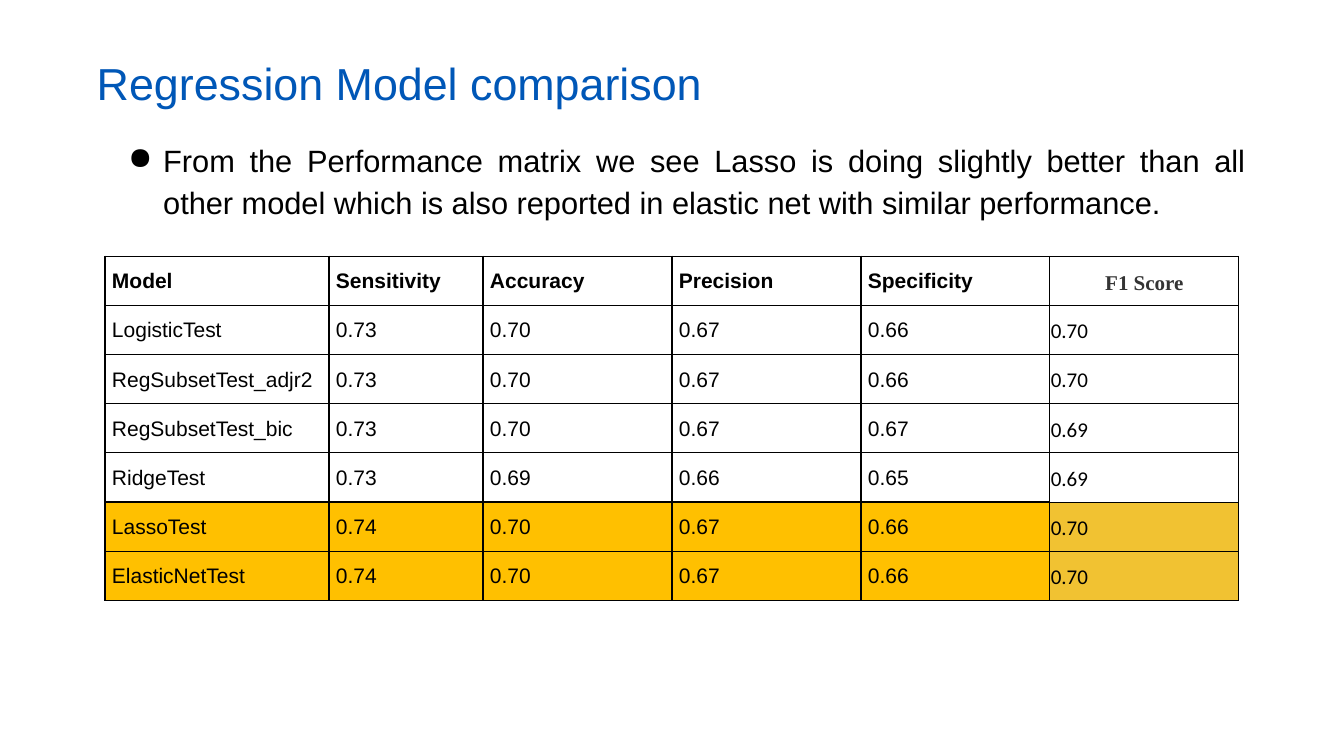
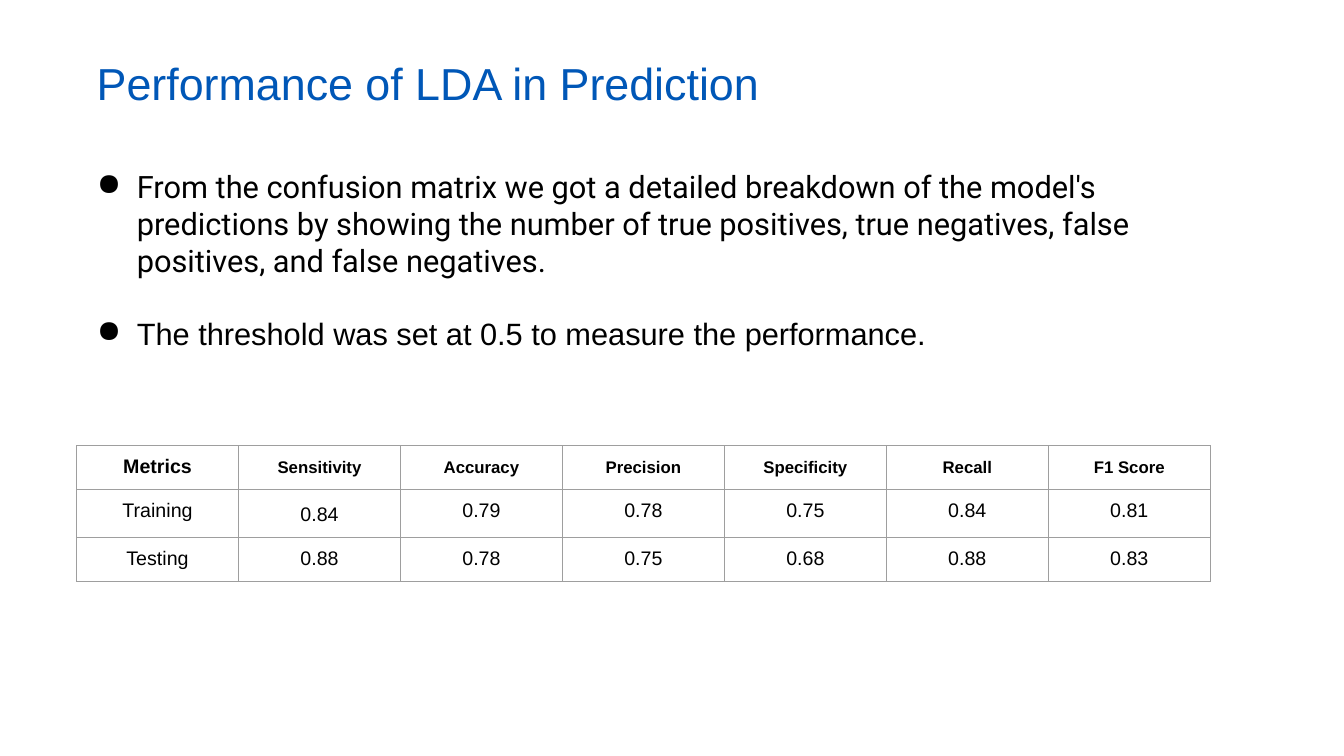
from dataclasses import dataclass, replace

from lxml.etree import SubElement
from pptx import Presentation
from pptx.dml.color import RGBColor as RGB
from pptx.enum.text import MSO_ANCHOR as Anchor, PP_ALIGN as Align
from pptx.oxml import parse_xml
from pptx.oxml.ns import nsdecls, qn
from pptx.util import Pt


@dataclass(frozen=True)
class Theme:
    blue: str = "0057B7"
    black: str = "000000"
    dark: str = "343434"
    grey: str = "9E9E9E"
    gold: str = "FFC000"
    sand: str = "F1C232"
    sans: str = "Arial"
    title: int = 32
    body: int = 22
    large: int = 15
    cell: int = 14
    small: int = 12


theme = Theme()


@dataclass(frozen=True)
class Look:
    """Style of one table cell; pads are left/right, top and bottom."""
    size: int = theme.cell
    font: str = theme.sans
    color: str = theme.black
    bold: bool = False
    align: Align = Align.CENTER
    anchor: Anchor = Anchor.TOP
    space: float = 1.0
    pads: tuple = (7.2, 7.2, 7.2)
    fill: str = ""
    line: str = theme.grey
    width: float = 0.75


class Deck:
    def __init__(self):
        self.prs = Presentation()
        self.prs.slide_width, self.prs.slide_height = Pt(960), Pt(540)
        self.slide = None

    def start(self, title):
        """Add a slide with its title."""
        self.slide = self.prs.slides.add_slide(self.prs.slide_layouts[6])
        para = self.box(62, 40.3, 835, 47.5, 3.6).paragraphs[0]
        self.label(para, title, theme.title, theme.sans, theme.blue)
        para.line_spacing = 0.9

    def box(self, x, y, w, h, pad):
        frame = self.slide.shapes.add_textbox(Pt(x), Pt(y), Pt(w), Pt(h)).text_frame
        frame.word_wrap = True
        frame.margin_left = frame.margin_right = Pt(7.2)
        frame.margin_top = frame.margin_bottom = Pt(pad)
        return frame

    def label(self, para, text, size, font, color, bold=False):
        """Put styled text into a paragraph."""
        para.text = text
        face = para.font
        face.size, face.name, face.bold = Pt(size), font, bold
        face.color.rgb = RGB.from_string(color)

    def bullets(self, x, y, w, h, items, hang, align=Align.LEFT, space=1.0, gap=0):
        """Fill a box with (text, font) bullet items."""
        frame = self.box(x, y, w, h, 7.2)
        for i, (text, font) in enumerate(items):
            para = frame.add_paragraph() if i else frame.paragraphs[0]
            para.alignment, para.line_spacing = align, space
            if i:
                para.space_before = Pt(gap)
            props = para._p.get_or_add_pPr()
            props.set("marL", str(Pt(36)))
            props.set("indent", str(-Pt(hang)))
            tint = SubElement(props, qn("a:buClr"))
            SubElement(tint, qn("a:srgbClr"), val=theme.black)
            SubElement(props, qn("a:buChar"), char="●")
            self.label(para, text, theme.body, font, theme.black)

    def table(self, x, y, cols, highs, rows, style):
        """Draw rows of text; style(row, col) gives the Look of a cell."""
        grid = self.slide.shapes.add_table(
            len(rows), len(cols), Pt(x), Pt(y), Pt(sum(cols)), Pt(sum(highs))).table
        grid.first_row = grid.horz_banding = False
        for col, wide in zip(grid.columns, cols):
            col.width = Pt(wide)
        for row, high in zip(grid.rows, highs):
            row.height = Pt(high)
        for r, row in enumerate(rows):
            for c, text in enumerate(row):
                look = style(r, c)
                after = style(r, min(c + 1, len(row) - 1))
                self.cell(grid.cell(r, c), text, look, min(look.width, after.width))

    def cell(self, cell, text, look, right):
        side, top, low = look.pads
        cell.margin_left = cell.margin_right = Pt(side)
        cell.margin_top, cell.margin_bottom = Pt(top), Pt(low)
        cell.vertical_anchor = look.anchor
        para = cell.text_frame.paragraphs[0]
        para.alignment, para.line_spacing = look.align, look.space
        self.label(para, text, look.size, look.font, look.color, look.bold)
        if look.fill:
            cell.fill.solid()
            cell.fill.fore_color.rgb = RGB.from_string(look.fill)
        else:
            cell.fill.background()
        props = cell._tc.get_or_add_tcPr()
        for i, edge in enumerate("LRTB"):
            width = right if edge == "R" else look.width
            props.insert(i, parse_xml(
                f'<a:ln{edge} {nsdecls("a")} w="{Pt(width)}"><a:solidFill>'
                f'<a:srgbClr val="{look.line}"/></a:solidFill></a:ln{edge}>'))


def model_look(r, c):
    head, best = r == 0, r >= 5
    look = Look(size=theme.large, bold=head, align=Align.JUSTIFY, space=1.15,
                pads=(5, 7.2, 7.2), fill=theme.gold if best else "",
                line=theme.black, width=1)
    if c < 5:
        return look
    look = replace(look, anchor=Anchor.BOTTOM, pads=(0.7, 0.7, 7.2), width=0.75,
                   fill=theme.sand if best else "")
    if head:
        return replace(look, font="Times New Roman", color=theme.dark, align=Align.CENTER)
    return replace(look, font="Calibri", align=Align.LEFT)


def metric_look(r, c):
    if r == 0:
        return Look(bold=True) if c == 0 else Look(size=theme.small, bold=True, space=1.15)
    return Look(space=1.2) if (r, c) == (1, 1) else Look()


MODELS = [
    ("Model", "Sensitivity", "Accuracy", "Precision", "Specificity", "F1 Score"),
    ("LogisticTest", "0.73", "0.70", "0.67", "0.66", "0.70"),
    ("RegSubsetTest_adjr2", "0.73", "0.70", "0.67", "0.66", "0.70"),
    ("RegSubsetTest_bic", "0.73", "0.70", "0.67", "0.67", "0.69"),
    ("RidgeTest", "0.73", "0.69", "0.66", "0.65", "0.69"),
    ("LassoTest", "0.74", "0.70", "0.67", "0.66", "0.70"),
    ("ElasticNetTest", "0.74", "0.70", "0.67", "0.66", "0.70"),
]
METRICS = [
    ("Metrics", "Sensitivity", "Accuracy", "Precision", "Specificity", "Recall", "F1 Score"),
    ("Training", "0.84", "0.79", "0.78", "0.75", "0.84", "0.81"),
    ("Testing", "0.88", "0.78", "0.75", "0.68", "0.88", "0.83"),
]


def main():
    deck = Deck()

    deck.start("Regression Model comparison")
    deck.bullets(73.5, 90, 823.5, 93, [
        ("From the Performance matrix we see Lasso is doing slightly better than all "
         "other model which is also reported in elastic net with similar performance.",
         theme.sans)], hang=25, align=Align.JUSTIFY, space=1.15)
    deck.table(75, 183, [160, 110] + [135] * 4, [35] * 7, MODELS, model_look)

    deck.start("Performance of LDA in Prediction")
    deck.bullets(54.7, 112.3, 797, 147.6, [
        ("From the confusion matrix we got a detailed breakdown of the model's "
         "predictions by showing the number of true positives, true negatives, false "
         "positives, and false negatives.", "Roboto"),
        ("The threshold was set at 0.5 to measure the performance.", theme.sans),
    ], hang=28.5, gap=26)
    deck.table(54.7, 318.2, [115.7] * 7, [30, 33.5, 30], METRICS, metric_look)

    deck.prs.save("out.pptx")


if __name__ == "__main__":
    main()
